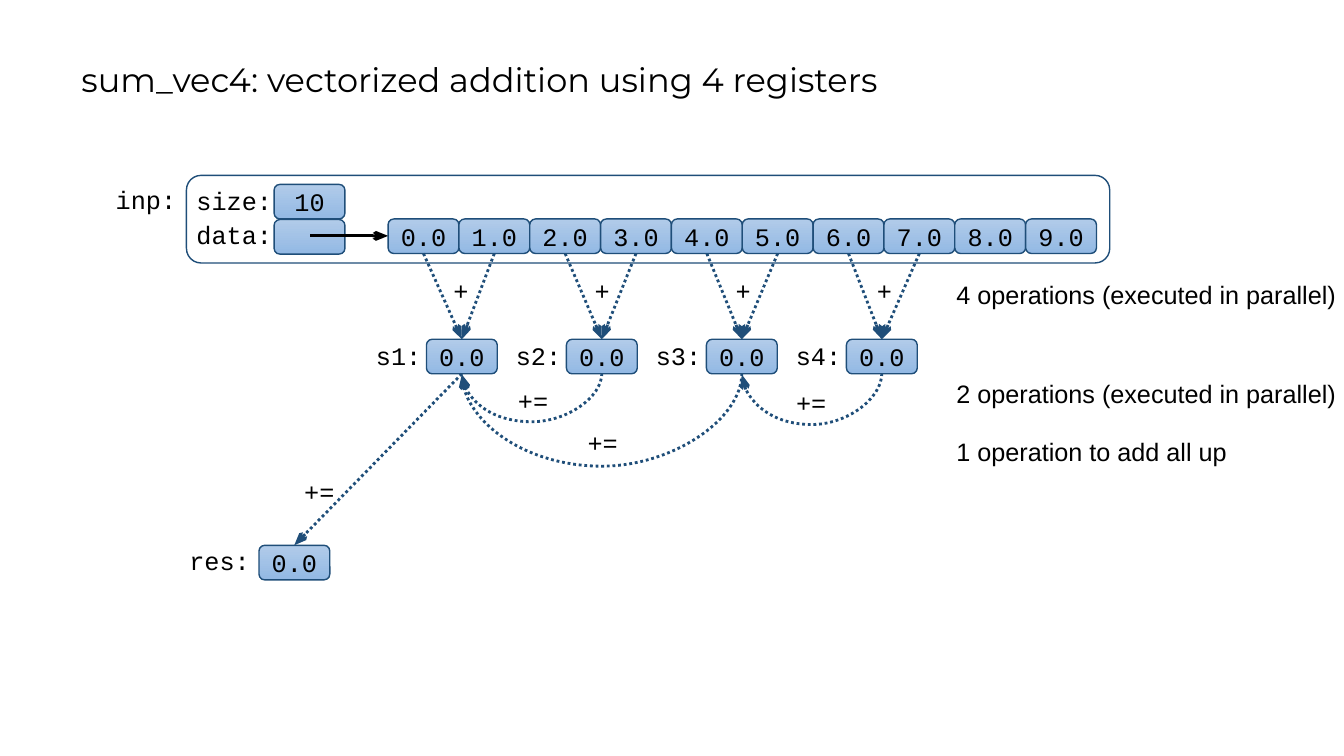
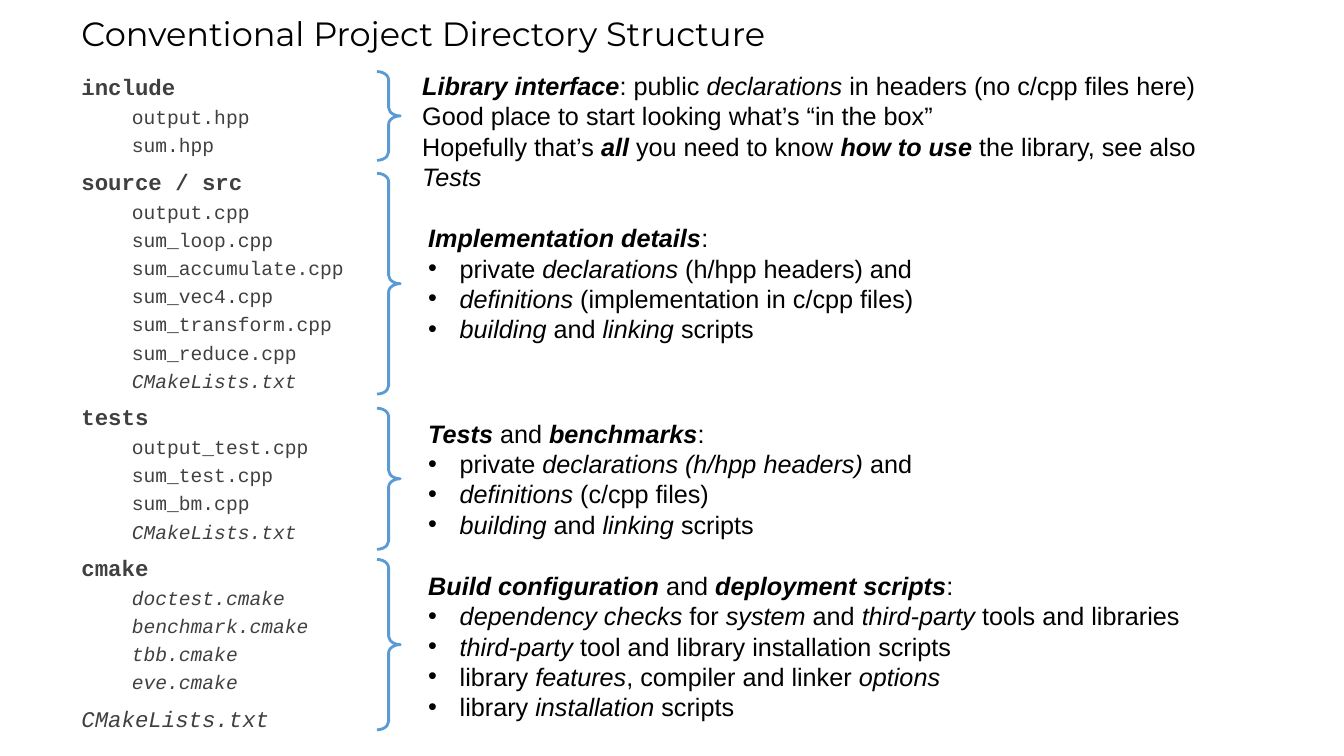
from dataclasses import dataclass

from lxml import etree
from pptx import Presentation
from pptx.dml.color import RGBColor
from pptx.enum.dml import MSO_LINE
from pptx.enum.shapes import MSO_CONNECTOR, MSO_SHAPE
from pptx.enum.text import MSO_ANCHOR, MSO_AUTO_SIZE, PP_ALIGN
from pptx.oxml.ns import qn
from pptx.util import Pt

# Shared style
BLACK = RGBColor(0, 0, 0)
GRAY = RGBColor(0x40, 0x40, 0x40)
NAVY = RGBColor(0x1F, 0x4E, 0x79)
BLUE = RGBColor(0x5B, 0x9B, 0xD5)
LIGHT = RGBColor(0xB1, 0xCB, 0xE9)
DEEP = RGBColor(0x93, 0xB9, 0xE4)
MONO, SANS, HEAD = "Courier New", "Arial", "Montserrat"
ROUND, BRACE = MSO_SHAPE.ROUNDED_RECTANGLE, MSO_SHAPE.RIGHT_BRACE
LINE, CURVE = MSO_CONNECTOR.STRAIGHT, MSO_CONNECTOR.CURVE
DOTS = MSO_LINE.ROUND_DOT
TOP, MIDDLE = MSO_ANCHOR.TOP, MSO_ANCHOR.MIDDLE
LEFT, CENTER = PP_ALIGN.LEFT, PP_ALIGN.CENTER
GROW = MSO_AUTO_SIZE.SHAPE_TO_FIT_TEXT
WIDE, HIGH = 960, 540

# Diagram grid
CELL_W, CELL_H = 50.6, 24.7
ROW_X, ROW_Y = 277.2, 156.4
REG_X, REG_Y, REG_GAP = 304.6, 242.3, 100
MID = CELL_W / 2
SIDE_X = 676.1


@dataclass
class Folder:
    name: str
    files: list[str]
    top: float
    height: float


@dataclass
class Note:
    left: float
    top: float
    width: float
    lines: list[str]
    bullets: bool = True


FOLDERS = [
    Folder("include", ["output.hpp", "sum.hpp"], 51.1, 63.4),
    Folder("source / src", [
        "output.cpp", "sum_loop.cpp", "sum_accumulate.cpp", "sum_vec4.cpp",
        "sum_transform.cpp", "sum_reduce.cpp", "*CMakeLists.txt*"], 123.8, 157.7),
    Folder("tests", ["output_test.cpp", "sum_test.cpp", "sum_bm.cpp",
                     "*CMakeLists.txt*"], 291.6, 100.8),
    Folder("cmake", ["*doctest.cmake*", "*benchmark.cmake*", "*tbb.cmake*",
                     "*eve.cmake*"], 399.6, 121.7),
]

# In these lines, *...* is italic and #...# is bold italic
NOTES = [
    Note(294.5, 46.8, 608, [
        "#Library interface#: public *declarations* in headers (no c/cpp files here)",
        "Good place to start looking what’s “in the box”",
        "Hopefully that’s #all# you need to know #how to use# the library, see also *Tests*",
    ], False),
    Note(298.8, 155.5, 486.7, [
        "#Implementation details#:",
        "private *declarations* (h/hpp headers) and",
        "*definitions* (implementation in c/cpp files)",
        "*building* and *linking* scripts",
    ]),
    Note(298.8, 295.2, 486.7, [
        "#Tests# and #benchmarks#:",
        "private *declarations (h/hpp headers)* and",
        "*definitions* (c/cpp files)",
        "*building* and *linking* scripts",
    ]),
    Note(298.8, 403.9, 560.9, [
        "#Build configuration# and #deployment scripts#:",
        "*dependency checks* for *system* and *third-party* tools and libraries",
        "*third-party* tool and library installation scripts",
        "library *features*, compiler and linker *options*",
        "library *installation* scripts",
    ]),
]


# Text
def write(frame, text: str, *, size: float = 18, font: str = SANS,
          color: RGBColor = BLACK, bold: bool = False, align=LEFT,
          space: float | None = None, before: float = 0,
          indent: float = 0, bullet: bool = False) -> None:
    """Add one paragraph, using the empty first one if it is free."""
    para = frame.paragraphs[0]
    if para.runs:
        para = frame.add_paragraph()
    para.alignment, para.space_before = align, Pt(before)
    if space:
        para.line_spacing = space
    props = para._p.get_or_add_pPr()
    if indent:
        props.set("marL", str(Pt(indent)))
        props.set("indent", str(Pt(-indent if bullet else 0)))
    if bullet:
        etree.SubElement(props, qn("a:buFont")).set("typeface", SANS)
        etree.SubElement(props, qn("a:buChar")).set("char", "•")
    for i, part in enumerate(text.split("#")):
        strong = i % 2 == 1
        for j, piece in enumerate(part.split("*")):
            if piece:
                run = para.add_run()
                run.text = piece
                run.font.name, run.font.size = font, Pt(size)
                run.font.color.rgb = color
                run.font.bold = bold or strong
                run.font.italic = strong or j % 2 == 1


def frame_at(slide, left: float, top: float, width: float, height: float,
             wrap: bool = True, anchor=TOP):
    box = slide.shapes.add_textbox(Pt(left), Pt(top), Pt(width), Pt(height))
    frame = box.text_frame
    frame.word_wrap, frame.vertical_anchor = wrap, anchor
    if not wrap:
        frame.auto_size = GROW
    return frame


def title(slide, text: str, top: float, height: float) -> None:
    frame = frame_at(slide, 51.1, top, 828, height, anchor=MIDDLE)
    write(frame, text, size=24, font=HEAD, space=0.9)


def label(slide, text: str, left: float, top: float) -> None:
    width = 10.8 * len(text) + 14.4
    write(frame_at(slide, left, top, width, 28.8, False), text, font=MONO)


# Shapes and lines
def outline(slide, kind, left: float, top: float, width: float, height: float,
            color: RGBColor = NAVY, weight: float = 1):
    shape = slide.shapes.add_shape(kind, Pt(left), Pt(top), Pt(width), Pt(height))
    shape.shadow.inherit = False
    shape.fill.background()
    shape.line.color.rgb, shape.line.width = color, Pt(weight)
    return shape


def cell(slide, left: float, top: float, text: str = "") -> None:
    shape = outline(slide, ROUND, left, top, CELL_W, CELL_H)
    shape.fill.gradient()
    shape.fill.gradient_angle = 270
    for stop, color, place in zip(shape.fill.gradient_stops, (LIGHT, DEEP), (0, 1)):
        stop.color.rgb, stop.position = color, place
    frame = shape.text_frame
    frame.vertical_anchor, frame.word_wrap = MIDDLE, False
    write(frame, text, font=MONO, align=CENTER)


def arrow(slide, x1: float, y1: float, x2: float, y2: float,
          color: RGBColor = NAVY, dash=DOTS, kind=LINE):
    link = slide.shapes.add_connector(kind, Pt(x1), Pt(y1), Pt(x2), Pt(y2))
    link.line.color.rgb, link.line.width = color, Pt(2)
    if dash:
        link.line.dash_style = dash
    tip = etree.SubElement(link.line._get_or_add_ln(), qn("a:tailEnd"))
    tip.set("type", "arrow")
    tip.set("len", "lg")
    etree.SubElement(link._element.spPr, qn("a:effectLst"))
    return link


def arc(slide, start: float, end: float, top: float, drop: float) -> None:
    """Hang a curve below two points: a thin connector turned by 90 degrees."""
    mid, half, thin = (start + end) / 2, (start - end) / 2, 1
    link = arrow(slide, mid - thin / 2, top - half, mid + thin / 2, top + half,
                 kind=CURVE)
    props = link._element.spPr
    props.find(qn("a:xfrm")).set("rot", "5400000")
    guide = etree.SubElement(props.find(qn("a:prstGeom")).find(qn("a:avLst")), qn("a:gd"))
    guide.set("name", "adj1")
    guide.set("fmla", f"val {round(drop / thin * 100000)}")


def draw_sum(slide) -> None:
    title(slide, "sum_vec4: vectorized addition using 4 registers", 20.2, 75.6)

    # Input vector
    outline(slide, ROUND, 133.2, 125.3, 659.5, 62.6)
    for text, left, top in (("inp:", 75.6, 128.2), ("size:", 133.2, 128.9),
                            ("data:", 133.2, 153.4)):
        label(slide, text, left, top)
    cell(slide, 195.8, 131.7, "10")
    cell(slide, 195.8, 156.8)
    for i in range(10):
        cell(slide, ROW_X + i * CELL_W, ROW_Y, f"{i}.0")
    arrow(slide, 221.8, 168.5, ROW_X, 168.5, BLACK, None)

    # Registers, each fed by two cells
    mids = [REG_X + i * REG_GAP + MID for i in range(4)]
    for i, mid in enumerate(mids):
        for j in (2 * i, 2 * i + 1):
            arrow(slide, ROW_X + j * CELL_W + MID, ROW_Y + CELL_H, mid, REG_Y)
        cell(slide, mid - MID, REG_Y, "0.0")
        label(slide, f"s{i + 1}:", mid - MID - 43.2, 239.8)
        label(slide, "+", 316.8 + i * 100.8, 193.3)

    # Sums of registers
    base = REG_Y + CELL_H
    for start, end, drop in ((1, 0, 35), (3, 2, 37), (2, 0, 67)):
        arc(slide, mids[start], mids[end], base, drop)
    for left, top in ((362.9, 271.4), (561.6, 272.9), (412.6, 301.7), (210.2, 337)):
        label(slide, "+=", left, top)
    arrow(slide, mids[0], base, 210.2, 389.5)
    cell(slide, 185, 389.5, "0.0")
    label(slide, "res:", 128.2, 385.9)

    # Side notes, reaching to the slide edge
    for text, top in (("4 operations (executed in parallel)", 195.8),
                      ("2 operations (executed in parallel)", 266.4),
                      ("1 operation to add all up", 308.2)):
        frame = frame_at(slide, SIDE_X, top, WIDE - SIDE_X, 28.8)
        frame.margin_right = 0
        write(frame, text)


def draw_tree(slide) -> None:
    title(slide, "Conventional Project Directory Structure", 4.3, 42.5)

    # Folder tree with braces
    tree = frame_at(slide, 51.1, 51.1, 289.4, 481.7)
    look = {"font": MONO, "color": GRAY, "space": 0.9}
    for fold in FOLDERS:
        write(tree, fold.name, size=16, bold=True, before=10, **look)
        for name in fold.files:
            write(tree, name, size=14, before=5, indent=36, **look)
        brace = outline(slide, BRACE, 269.3, fold.top, 16.6, fold.height, BLUE, 2)
        brace.adjustments[0] = 0.36
    write(tree, "*CMakeLists.txt*", size=16, before=10, **look)

    # Notes
    for note in NOTES:
        height = 21.6 * len(note.lines) + 7.2
        frame = frame_at(slide, note.left, note.top, note.width, height)
        for i, text in enumerate(note.lines):
            item = note.bullets and i > 0
            write(frame, text, indent=22.5 if item else 0, bullet=item)


def main() -> None:
    deck = Presentation()
    deck.slide_width, deck.slide_height = Pt(WIDE), Pt(HIGH)
    for draw in (draw_sum, draw_tree):
        draw(deck.slides.add_slide(deck.slide_layouts[6]))
    deck.save("out.pptx")


if __name__ == "__main__":
    main()
